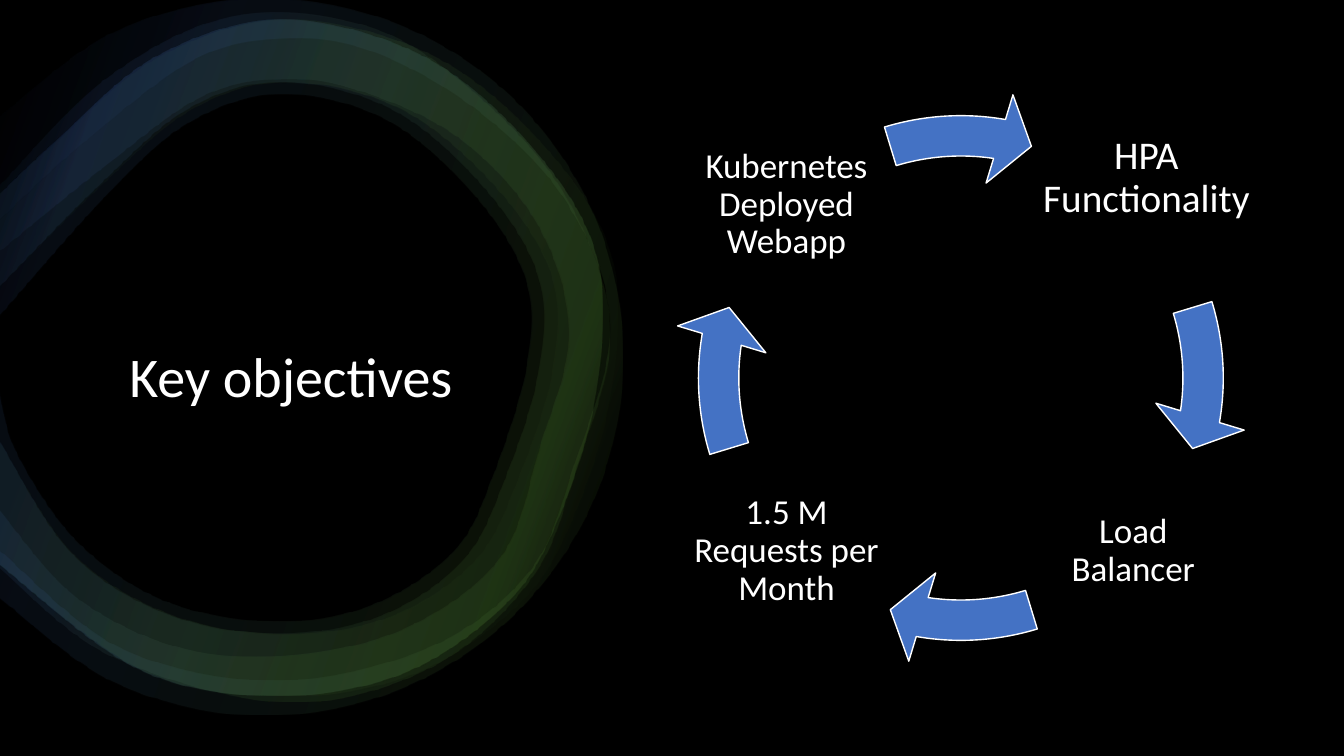
"""Build the key objectives slide: a glowing ring beside a four-step cycle."""
from math import cos, radians, sin

from pptx import Presentation
from pptx.dml.color import RGBColor
from pptx.enum.shapes import MSO_SHAPE
from pptx.enum.text import MSO_ANCHOR, MSO_AUTO_SIZE, PP_ALIGN
from pptx.oxml import parse_xml
from pptx.oxml.ns import nsdecls, qn
from pptx.util import Inches, Pt

COLORS = {"black": "000000", "white": "FFFFFF", "blue": "4472C4", "green": "70AD47"}
FONT = "Calibri"
TITLE = "Key objectives"

STEPS = [
    {"text": "HPA Functionality", "box": (10.23, 1.02, 2.28, 2.02), "size": 28, "bottom": 0.55},
    {"text": "Load Balancer", "box": (10.23, 4.46, 2.02, 2.02)},
    {"text": "1.5 M Requests per Month", "box": (6.79, 4.46, 2.02, 2.02)},
    {"text": "Kubernetes Deployed Webapp", "box": (6.79, 1.02, 2.02, 2.02)},
]
CYCLE_BOX = (6.67, 0.89, 5.72, 5.72)
ARROW = {"thickness": 0.07, "head": 4.65, "end": 5.51, "start": 205.84, "width": 0.08}
QUARTER, FULL_TURN = 54, 216

WAVY_OUTER = [
    (-0.01, 1.85), (1.08, 0.76), (2.33, 0.16), (3.72, 0.29), (4.83, 1.04), (5.65, 2.04),
    (6.04, 3.3), (5.69, 4.68), (5.26, 5.73), (4.27, 6.61), (2.83, 6.96), (1.1, 6.5),
    (-0.01, 5.62)]
WAVY_INNER = [
    (-0.01, 5.04), (0.75, 5.91), (1.8, 6.42), (2.96, 6.48), (4.06, 6.2), (4.96, 5.51),
    (5.34, 4.43), (5.63, 3.3), (5.32, 2.23), (4.54, 1.37), (3.52, 0.89), (2.71, 0.79),
    (1.96, 0.98), (1.04, 1.65), (-0.01, 2.5)]
SOFT_OUTER = [
    (-0.01, 1.93), (0.55, 1.4), (1.54, 0.56), (2.78, 0.19), (4.17, 0.54), (5.25, 1.43),
    (5.91, 2.53), (5.91, 3.87), (5.53, 5.15), (5.02, 5.98), (3.99, 6.68), (2.7, 6.9),
    (1.36, 6.63), (-0.01, 5.59)]
SOFT_INNER = [
    (-0.01, 4.35), (0.69, 5.46), (1.61, 6.07), (2.7, 6.28), (3.76, 6.11), (4.59, 5.55),
    (5.01, 4.73), (5.34, 3.66), (5.33, 2.73), (4.78, 1.84), (3.88, 1.08), (2.78, 0.81),
    (1.86, 1.08), (0.98, 1.84), (-0.01, 2.85)]
NARROW_INNER = [
    (-0.01, 3.84), (0.17, 4.49), (0.77, 5.37), (1.64, 5.96), (2.71, 6.16), (3.68, 6),
    (4.5, 5.46), (4.89, 4.7), (5.22, 3.62), (5.21, 2.77), (4.69, 1.92), (3.82, 1.18),
    (2.78, 0.93), (1.88, 1.21), (1.07, 1.92), (-0.01, 3.14)]
ROUND_OUTER = [(2.62 + 3.55 * cos(radians(a)), 3.54 + 3.55 * sin(radians(a)))
               for a in range(-138, 139, 23)]
ROUND_INNER = [
    (-0.01, 5.45), (1.19, 6.42), (2.72, 6.74), (4.23, 6.42), (5.23, 5.67), (5.67, 4.64),
    (6.04, 3.23), (5.62, 2.03), (4.74, 1.11), (3.67, 0.51), (2.76, 0.39), (1.89, 0.61),
    (0.77, 1.46), (-0.01, 2.18)]

SOFT_STOPS = [(2, "black"), (16, "green"), (85, "blue"), (100, "black")]
RINGS = [
    (WAVY_OUTER, WAVY_INNER, 1, [(37, "green"), (85, "blue"), (100, "black")]),
    (SOFT_OUTER, SOFT_INNER, 1.025, [(2, "black"), (54, "green"), (100, "black")]),
    (SOFT_OUTER, NARROW_INNER, 1, SOFT_STOPS),
    (SOFT_OUTER, SOFT_INNER, 1, SOFT_STOPS),
    (ROUND_OUTER, ROUND_INNER, 1, [(2, "black"), (16, "green"), (74, "blue"), (100, "black")]),
]
RING_ALPHA, RING_ANGLE = 10, 200


def rgb(name):
    return RGBColor.from_string(COLORS[name])


def inches(box):
    return [Inches(v) for v in box]


def put_text(sp, text, size=25, color="white", inset=0.03, bottom=None):
    tf = sp.text_frame
    tf.word_wrap = True
    tf.auto_size = MSO_AUTO_SIZE.NONE
    tf.vertical_anchor = MSO_ANCHOR.MIDDLE
    tf.margin_left = tf.margin_right = tf.margin_top = Inches(inset)
    tf.margin_bottom = Inches(inset if bottom is None else bottom)
    p = tf.paragraphs[0]
    p.alignment = PP_ALIGN.CENTER
    p.line_spacing = 0.9
    r = p.add_run()
    r.text = text
    r.font.size = Pt(size)
    r.font.name = FONT
    r.font.color.rgb = rgb(color)


def bezier_arcs(points):
    """Return the control and end points of a smooth curve through the points."""
    ends = [points[0], *points, points[-1]]
    return [((b[0] + (c[0] - a[0]) / 6, b[1] + (c[1] - a[1]) / 6),
             (c[0] - (d[0] - b[0]) / 6, c[1] - (d[1] - b[1]) / 6), c)
            for a, b, c, d in zip(ends, ends[1:], ends[2:], ends[3:])]


def add_ring(shapes, outer, inner, stretch, stops):
    outer, inner = ([(Inches(x * stretch), Inches(y)) for x, y in side]
                    for side in (outer, inner))
    builder = shapes.build_freeform(*outer[0])
    builder.add_line_segments(outer[1:] + inner, close=True)
    sp = builder.convert_to_shape()
    arcs = bezier_arcs(outer) + [None] + bezier_arcs(inner)
    for line, arc in zip(list(sp.element.iter(qn("a:lnTo"))), arcs):
        if arc:
            pts = "".join(f'<a:pt x="{round(x - sp.left)}" y="{round(y - sp.top)}"/>'
                          for x, y in arc)
            curve = parse_xml(f'<a:cubicBezTo {nsdecls("a")}>{pts}</a:cubicBezTo>')
            line.getparent().replace(line, curve)
    sp.shadow.inherit = False
    sp.line.fill.background()
    sp.fill.background()
    gs = "".join(
        f'<a:gs pos="{pos * 1000}"><a:srgbClr val="{COLORS[name]}">'
        f'<a:alpha val="{RING_ALPHA * 1000}"/></a:srgbClr></a:gs>' for pos, name in stops)
    gradient = parse_xml(
        f'<a:gradFill {nsdecls("a")} rotWithShape="1"><a:gsLst>{gs}</a:gsLst>'
        f'<a:lin ang="{RING_ANGLE * 60000}" scaled="0"/></a:gradFill>')
    props = sp.element.spPr
    props.replace(props.find(qn("a:noFill")), gradient)


def add_arrow(shapes, index):
    sp = shapes.add_shape(MSO_SHAPE.CIRCULAR_ARROW, *inches(CYCLE_BOX))
    turn = index * QUARTER
    values = (ARROW["thickness"], ARROW["head"], ARROW["end"] + turn,
              (ARROW["start"] + turn) % FULL_TURN, ARROW["width"])
    for i, value in enumerate(values):
        sp.adjustments[i] = value
    sp.shadow.inherit = False
    sp.fill.solid()
    sp.fill.fore_color.rgb = rgb("blue")
    sp.line.color.rgb = rgb("white")
    sp.line.width = Pt(1)


def main():
    prs = Presentation()
    prs.slide_width, prs.slide_height = inches((13.33, 7.5))
    s = prs.slides.add_slide(prs.slide_layouts[5])
    s.background.fill.solid()
    s.background.fill.fore_color.rgb = rgb("black")

    backdrop = s.shapes.add_shape(MSO_SHAPE.RECTANGLE, 0, 0, prs.slide_width, prs.slide_height)
    backdrop.shadow.inherit = False
    backdrop.fill.solid()
    backdrop.fill.fore_color.rgb = rgb("black")
    backdrop.line.fill.background()

    glow = s.shapes.add_group_shape()
    for ring in RINGS:
        add_ring(glow.shapes, *ring)

    title = s.shapes.title
    title.left, title.top, title.width, title.height = inches((0.88, 2.25, 4.01, 3.02))
    put_text(title, TITLE, size=40, inset=0.05)
    glow.element.addnext(title.element)

    for index, step in enumerate(STEPS):
        label = s.shapes.add_textbox(*inches(step["box"]))
        put_text(label, step["text"], size=step.get("size", 25), bottom=step.get("bottom"))
        add_arrow(s.shapes, index)

    prs.save("out.pptx")


if __name__ == "__main__":
    main()
